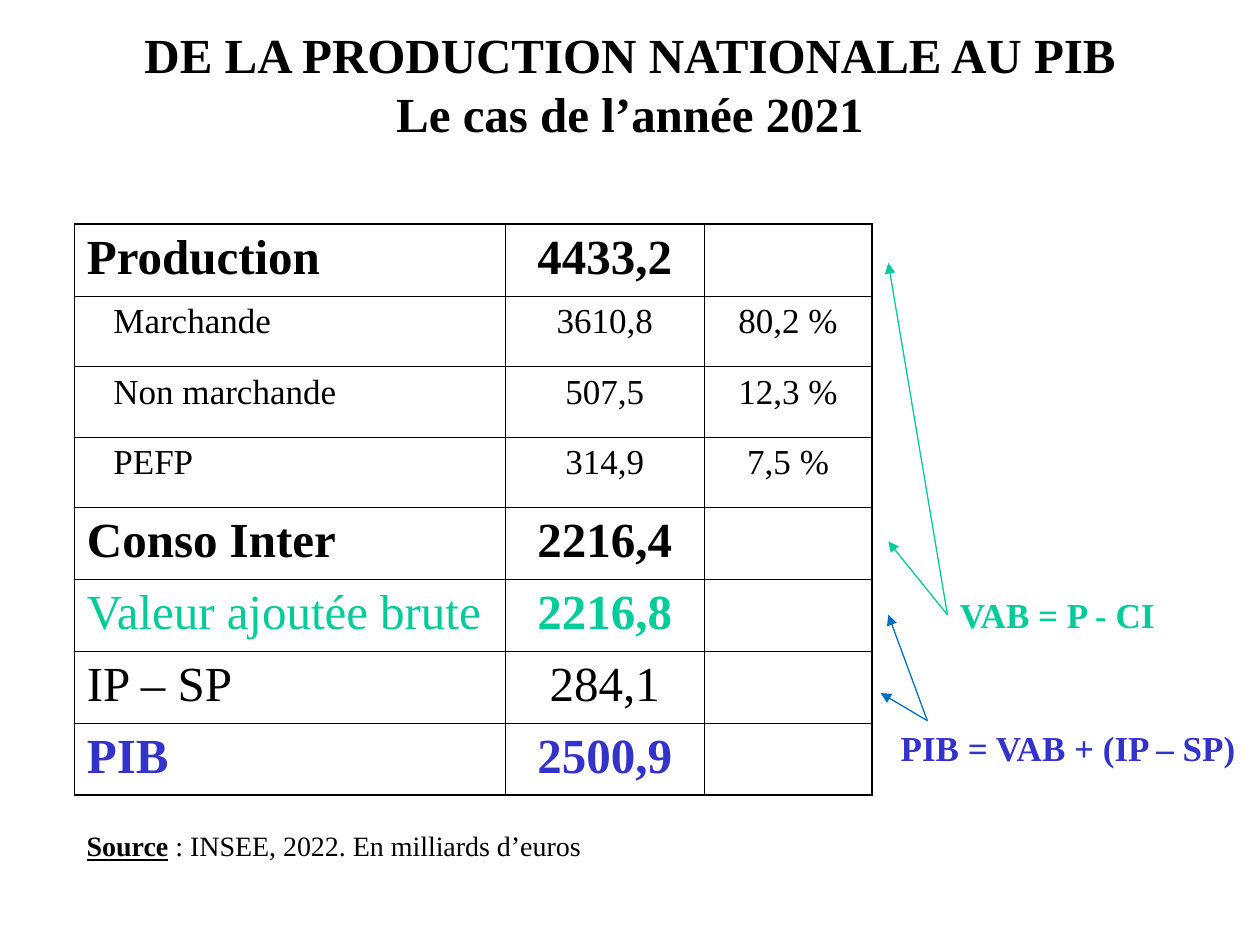
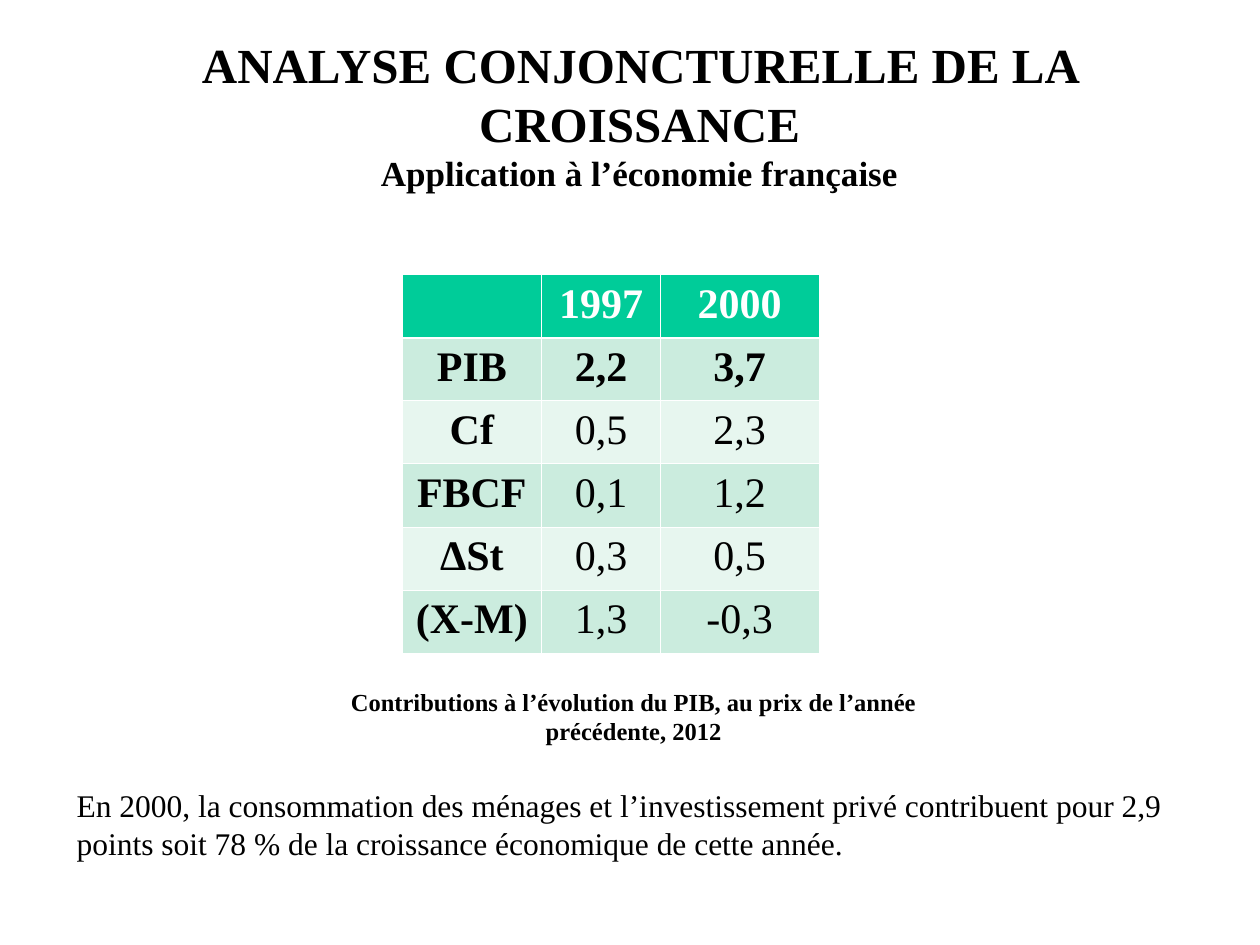
"""Build two slides on French national accounts: from production to GDP, and growth analysis."""
from itertools import accumulate

from lxml.etree import SubElement
from pptx import Presentation
from pptx.dml.color import RGBColor as Rgb
from pptx.enum.shapes import MSO_CONNECTOR as Connector
from pptx.enum.text import MSO_ANCHOR as Anchor, PP_ALIGN as Align
from pptx.oxml.ns import qn
from pptx.util import Inches, Pt

THEME = {
    "font": "Times New Roman",
    "ink": "000000", "paper": "FFFFFF", "green": "00CC99", "indigo": "3333CC",
    "blue": "0070C0", "mint": "CBECDE", "pale": "E7F6EF",
    "title": 28, "header": 24, "label": 20, "body": 18, "source": 16, "caption": 14,
    "hairline": 0.45, "frame": 1.08, "rule": 1.47, "arrow": 0.75,
}
WIDTH, HEIGHT = Inches(10), Inches(7.5)
UNIT = WIDTH / 100

STRONG = {"size": "title", "bold": True}
PLAIN = {"size": "title"}
DETAIL = {"size": "label"}
ADDED = PLAIN | {"color": "green"}
TOTAL = STRONG | {"color": "indigo"}

ACCOUNTS = [
    (("Production", "4433,2", ""), STRONG, STRONG),
    (("Marchande", "3610,8", "80,2 %"), DETAIL, DETAIL),
    (("Non marchande", "507,5", "12,3 %"), DETAIL, DETAIL),
    (("PEFP", "314,9", "7,5 %"), DETAIL, DETAIL),
    (("Conso Inter", "2216,4", ""), STRONG, STRONG),
    (("Valeur ajoutée brute", "2216,8", ""), ADDED, ADDED | {"bold": True}),
    (("IP – SP", "284,1", ""), PLAIN, PLAIN),
    (("PIB", "2500,9", ""), TOTAL, TOTAL),
]
ACCOUNT_SPOT = (5.9, 17.8)
ACCOUNT_COLUMNS = (34.2, 15.8, 13.3)
TALL_ROW, DETAIL_ROW, DETAIL_INDENT = 5.7, 5.6, 2.1

ARROWS = [
    ("green", (75.2, 48.8), [(70.5, 0.54), (70.5, 4.47)]),
    ("blue", (73.6, 57.2), [(70.5, 5.49), (69.9, 6.58)]),
]

CONTRIBUTIONS = [
    ("", "1997", "2000"),
    ("PIB", "2,2", "3,7"),
    ("Cf", "0,5", "2,3"),
    ("FBCF", "0,1", "1,2"),
    ("ΔSt", "0,3", "0,5"),
    ("(X-M)", "1,3", "-0,3"),
]
CONTRIBUTION_SPOT = (31.9, 21.8)
CONTRIBUTION_COLUMNS = (11.1, 9.4, 12.6)
CONTRIBUTION_ROW = 5

TITLES = [
    ((4.3, 2.5, 91.4, 8.3), [[("DE LA PRODUCTION NATIONALE AU PIB", STRONG)],
                             [("Le cas de l’année 2021", STRONG)]]),
    ((2.7, 2.8, 96.1, 12.5), [[("ANALYSE CONJONCTURELLE DE LA CROISSANCE", STRONG)],
                              [("Application à l’économie française",
                                {"size": "label", "bold": True})]]),
]
ACCOUNT_NOTES = [
    ((5.9, 65.3, 45, 3.7), [[("Source", {"size": "source", "bold": True, "underline": True}),
                             (" : INSEE, 2022. En milliards d’euros", {"size": "source"})]]),
    ((75.2, 46.6, 22.1, 4.4), [[("VAB = P - CI",
                                 {"size": "label", "bold": True, "color": "green"})]]),
    ((70.5, 57.2, 29.5, 4.4), [[("PIB = VAB + (IP – SP)",
                                 {"size": "label", "bold": True, "color": "indigo"})]]),
]
CAPTION = ((25.3, 54, 50, 5.7), [[("Contributions à l’évolution du PIB, au prix de l’année "
                                   "précédente, 2012", {"size": "caption", "bold": True})]])
COMMENT = ((5.1, 61.9, 90.6, 7), [[("En 2000, la consommation des ménages et l’investissement "
                                    "privé contribuent pour 2,9 points soit 78 % de la croissance "
                                    "économique de cette année.", {"size": "body"})]])


def grid(*lengths):
    return [round(length * UNIT) for length in lengths]


def write(paragraph, runs, align):
    paragraph.alignment = align
    for words, look in runs:
        run = paragraph.add_run()
        run.text = words
        style = {"bold": False, "color": "ink"} | look
        run.font.color.rgb = Rgb.from_string(THEME[style.pop("color")])
        style |= {"size": Pt(THEME[style["size"]]), "name": THEME["font"]}
        for key, value in style.items():
            setattr(run.font, key, value)


def add_text(slide, area, paragraphs, align=Align.LEFT, anchor=Anchor.TOP):
    frame = slide.shapes.add_textbox(*grid(*area)).text_frame
    frame.word_wrap, frame.vertical_anchor = True, anchor
    for index, runs in enumerate(paragraphs):
        write(frame.add_paragraph() if index else frame.paragraphs[0], runs, align)


def add_borders(cell, color, widths):
    for side, width in zip("LRTB", widths):
        line = SubElement(cell._tc.get_or_add_tcPr(), qn(f"a:ln{side}"), w=str(Pt(THEME[width])))
        SubElement(SubElement(line, qn("a:solidFill")), qn("a:srgbClr"), val=THEME[color])


def add_grid_table(slide, spot, widths, heights):
    table = slide.shapes.add_table(len(heights), len(widths),
                                   *grid(*spot, sum(widths), sum(heights))).table
    table.first_row = table.horz_banding = False
    for column, width in zip(table.columns, grid(*widths)):
        column.width = width
    for row, height in zip(table.rows, grid(*heights)):
        row.height = height
    return table


def add_accounts(slide):
    heights = [DETAIL_ROW if look is DETAIL else TALL_ROW for _, look, _ in ACCOUNTS]
    table = add_grid_table(slide, ACCOUNT_SPOT, ACCOUNT_COLUMNS, heights)
    last_row, last_column = len(ACCOUNTS) - 1, len(ACCOUNT_COLUMNS) - 1
    for r, (words, name_look, figure_look) in enumerate(ACCOUNTS):
        for c, word in enumerate(words):
            cell = table.cell(r, c)
            outer = (c == 0, c == last_column, r == 0, r == last_row)
            add_borders(cell, "ink", ["frame" if edge else "hairline" for edge in outer])
            cell.fill.background()
            if c == 0 and name_look is DETAIL:
                cell.margin_left += grid(DETAIL_INDENT)[0]
            if word:
                write(cell.text_frame.paragraphs[0], [(word, figure_look if c else name_look)],
                      Align.CENTER if c else Align.LEFT)
    return list(accumulate(heights, initial=ACCOUNT_SPOT[1])), heights


def add_arrows(slide, tops, heights):
    for color, start, targets in ARROWS:
        for x, level in targets:
            row = int(level)
            end = (x, tops[row] + (level - row) * heights[row])
            arrow = slide.shapes.add_connector(Connector.STRAIGHT, *grid(*start, *end))
            arrow.line.color.rgb = Rgb.from_string(THEME[color])
            arrow.line.width = Pt(THEME["arrow"])
            SubElement(arrow.line._get_or_add_ln(), qn("a:tailEnd"), type="triangle")
            SubElement(arrow._element.spPr, qn("a:effectLst"))


def add_contributions(slide):
    table = add_grid_table(slide, CONTRIBUTION_SPOT, CONTRIBUTION_COLUMNS,
                           [CONTRIBUTION_ROW] * len(CONTRIBUTIONS))
    for r, words in enumerate(CONTRIBUTIONS):
        for c, word in enumerate(words):
            cell = table.cell(r, c)
            add_borders(cell, "paper", ["hairline", "hairline", "rule" if r == 1 else "hairline",
                                        "hairline" if r else "rule"])
            cell.fill.solid()
            band = "green" if r == 0 else "mint" if r % 2 else "pale"
            cell.fill.fore_color.rgb = Rgb.from_string(THEME[band])
            if word:
                look = {"size": "header", "bold": r < 2 or c == 0, "color": "ink" if r else "paper"}
                write(cell.text_frame.paragraphs[0], [(word, look)], Align.CENTER)


def main():
    deck = Presentation()
    deck.slide_width, deck.slide_height = WIDTH, HEIGHT
    accounts, growth = [deck.slides.add_slide(deck.slide_layouts[6]) for _ in TITLES]
    for slide, (area, lines) in zip((accounts, growth), TITLES):
        add_text(slide, area, lines, Align.CENTER, Anchor.MIDDLE)
    tops, heights = add_accounts(accounts)
    for area, lines in ACCOUNT_NOTES:
        add_text(accounts, area, lines)
    add_arrows(accounts, tops, heights)
    add_contributions(growth)
    add_text(growth, *CAPTION, Align.CENTER)
    add_text(growth, *COMMENT)
    deck.save("out.pptx")


if __name__ == "__main__":
    main()
